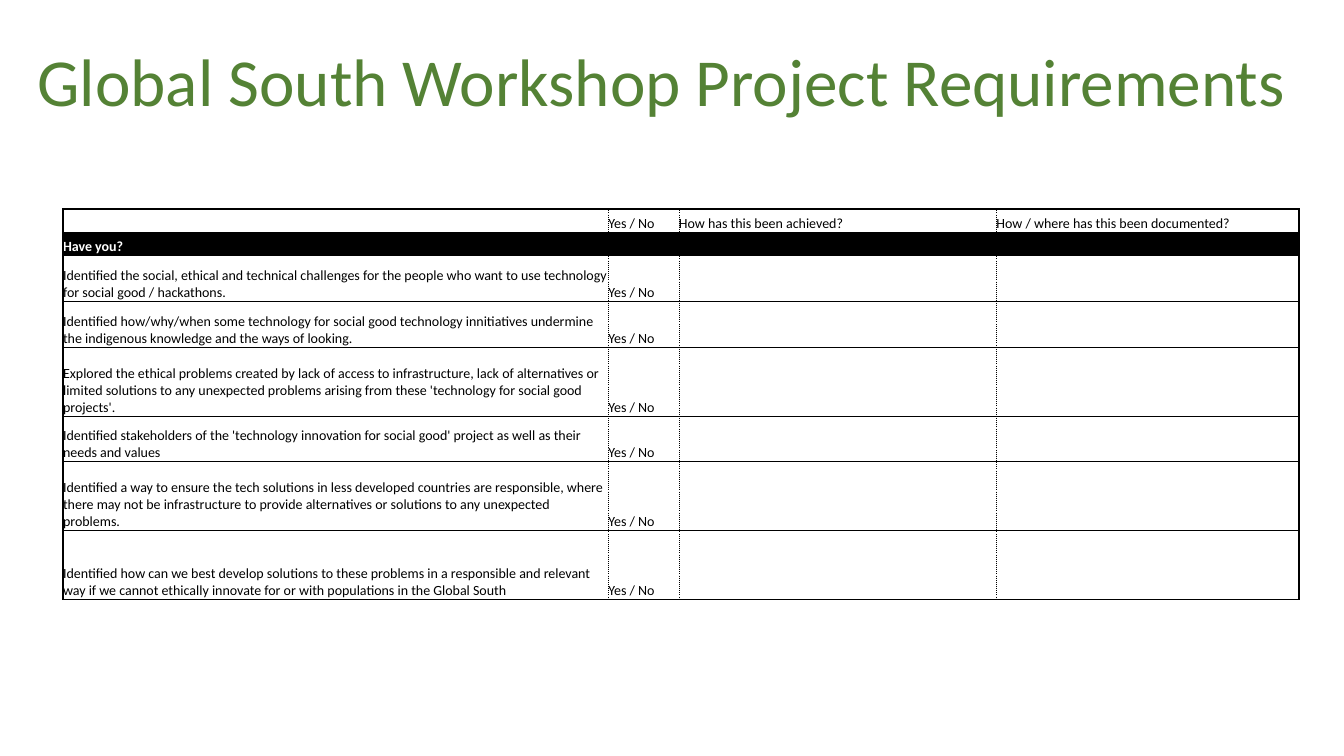
from dataclasses import dataclass
from typing import Optional

from lxml.etree import SubElement
from pptx import Presentation
from pptx.dml.color import RGBColor
from pptx.enum.text import MSO_ANCHOR as Anchor, PP_ALIGN as Align
from pptx.oxml.ns import qn
from pptx.util import Cm, Pt

COLORS = {"title": "548235", "ink": "000000", "inverse": "FFFFFF"}
FONT = "Calibri"
COL_WIDTHS = [13.74, 1.78, 8.0, 7.62]


@dataclass
class Border:
    width: float = 0.5
    dash: str = "solid"


@dataclass
class Row:
    height: float
    texts: list[str]
    band: bool = False


THIN = Border()
THICK = Border(1.5)
DOTTED = Border(dash="dot")


def question(height: float, text: str) -> Row:
    return Row(height, [text, "Yes / No", "", ""])


ROWS = [
    Row(0.58, ["", "Yes / No", "How has this been achieved?",
               "How / where has this been documented?"]),
    Row(0.58, ["Have you?", "", "", ""], band=True),
    question(1.17, "Identified the social, ethical and technical challenges for the people "
                   "who want to use technology for social good / hackathons."),
    question(1.15, "Identified how/why/when some technology for social good technology "
                   "innitiatives undermine the indigenous knowledge and the ways of looking."),
    question(1.73, "Explored the ethical problems created by lack of access to infrastructure, "
                   "lack of alternatives or limited solutions to any unexpected problems "
                   "arising from these 'technology for social good projects'."),
    question(1.15, "Identified stakeholders of the 'technology innovation for social good' "
                   "project as well as their needs and values"),
    question(1.73, "Identified a way to ensure the tech solutions in less developed countries "
                   "are responsible, where there may not be infrastructure to provide "
                   "alternatives or solutions to any unexpected problems."),
    question(1.75, "Identified how can we best develop solutions to these problems in a "
                   "responsible and relevant way if we cannot ethically innovate for or with "
                   "populations in the Global South"),
]


def set_text(tf, text: str, *, size: float = 10, color: str = "ink", bold: bool = False,
             spacing: Optional[float] = None) -> None:
    p = tf.paragraphs[0]
    p.alignment = Align.LEFT
    if spacing:
        p.line_spacing = spacing
    if not text:
        SubElement(p._p, qn("a:endParaRPr"), sz=str(int(size * 100)))
        return
    r = p.add_run()
    r.text = text
    r.font.name = FONT
    r.font.size = Pt(size)
    r.font.bold = bold
    r.font.color.rgb = RGBColor.from_string(COLORS[color])


def set_border(cell, side: str, border: Optional[Border]) -> None:
    tc_pr = cell._tc.get_or_add_tcPr()
    ln = SubElement(tc_pr, qn(f"a:ln{side}"))
    if border is None:
        SubElement(ln, qn("a:noFill"))
        return
    ln.set("w", str(Pt(border.width)))
    fill = SubElement(ln, qn("a:solidFill"))
    SubElement(fill, qn("a:srgbClr"), val=COLORS["ink"])
    SubElement(ln, qn("a:prstDash"), val=border.dash)


def horizontal_border(edge: int) -> Border:
    band_bottom = next(i for i, row in enumerate(ROWS) if row.band) + 1
    return THICK if edge in (0, band_bottom, len(ROWS)) else THIN


def vertical_border(edge: int, band: bool) -> Optional[Border]:
    if edge in (0, len(COL_WIDTHS)):
        return THICK
    return None if band else DOTTED


def format_cell(cell, row: Row, i: int, j: int) -> None:
    cell.margin_left = cell.margin_right = cell.margin_top = cell.margin_bottom = 0
    cell.vertical_anchor = Anchor.BOTTOM
    set_border(cell, "L", vertical_border(j, row.band))
    set_border(cell, "R", vertical_border(j + 1, row.band))
    set_border(cell, "T", horizontal_border(i))
    set_border(cell, "B", horizontal_border(i + 1))
    if row.band:
        cell.fill.solid()
        cell.fill.fore_color.rgb = RGBColor.from_string(COLORS["ink"])
    else:
        cell.fill.background()
    set_text(cell.text_frame, row.texts[j], bold=row.band,
             color="inverse" if row.band else "ink")


def add_title(s, text: str) -> None:
    sp = s.shapes.title
    sp.left, sp.top, sp.width, sp.height = Cm(0.69), Cm(0.36), Cm(32.49), Cm(3.68)
    tf = sp.text_frame
    tf.word_wrap = True
    tf.vertical_anchor = Anchor.MIDDLE
    set_text(tf, text, size=48, color="title", spacing=0.8)


def add_requirements(s) -> None:
    height = sum(row.height for row in ROWS)
    table = s.shapes.add_table(len(ROWS), len(COL_WIDTHS), Cm(1.59), Cm(5.27),
                               Cm(sum(COL_WIDTHS)), Cm(height)).table
    table.first_row = table.horz_banding = False
    for col, width in zip(table.columns, COL_WIDTHS):
        col.width = Cm(width)
    for i, row in enumerate(ROWS):
        table.rows[i].height = Cm(row.height)
        for j in range(len(COL_WIDTHS)):
            format_cell(table.cell(i, j), row, i, j)


def main() -> None:
    prs = Presentation()
    prs.slide_width, prs.slide_height = Cm(33.87), Cm(19.05)
    s = prs.slides.add_slide(prs.slide_layouts[5])
    add_title(s, "Global South Workshop Project Requirements")
    add_requirements(s)
    prs.save("out.pptx")


if __name__ == "__main__":
    main()
